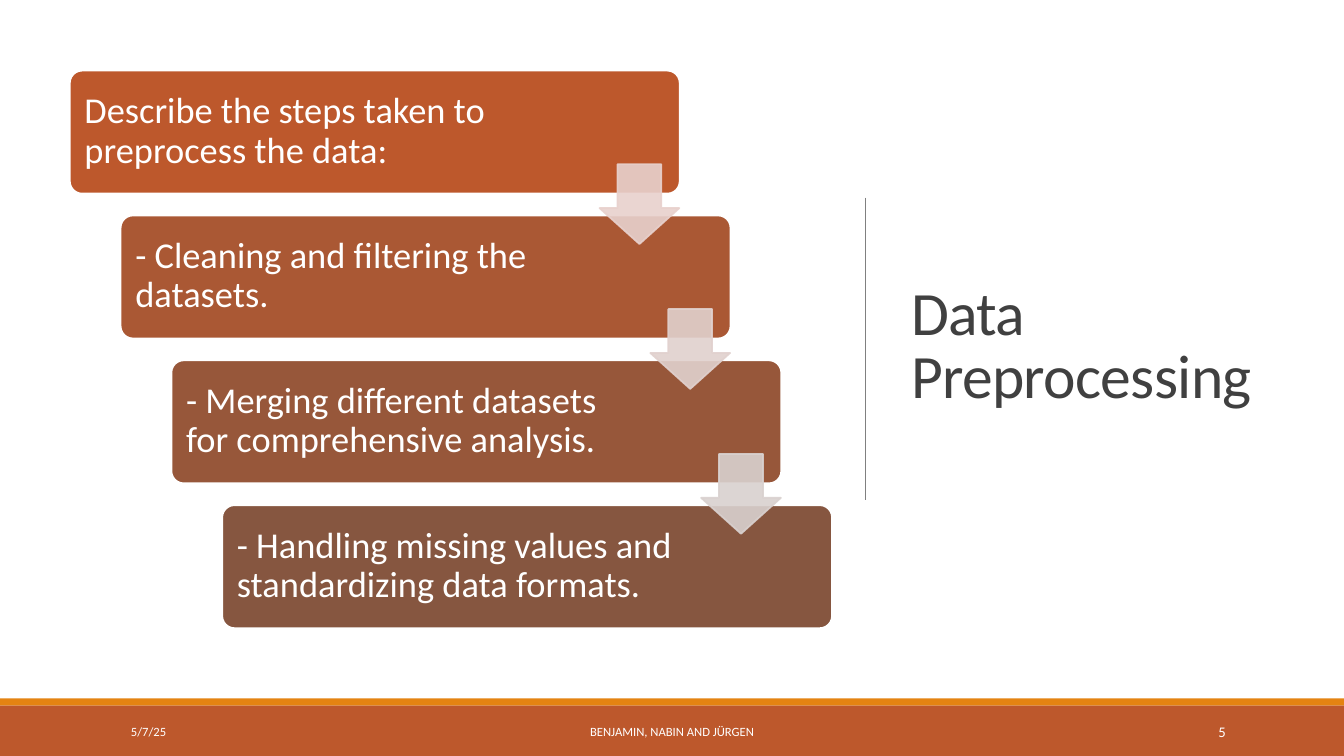
from dataclasses import dataclass

from lxml import etree
from pptx import Presentation
from pptx.dml.color import RGBColor
from pptx.enum import shapes, text
from pptx.oxml.ns import qn
from pptx.util import Cm, Pt


@dataclass(frozen=True)
class Theme:
    font: str = "Calibri"
    white: str = "FFFFFF"
    title_text: str = "404040"
    divider: str = "808080"
    stripe: str = "E48312"
    footer: str = "BD582C"
    title_size: float = 44
    step_size: float = 26
    footer_size: float = 9
    number_size: float = 10.5
    outline: float = 1.25


@dataclass(frozen=True)
class Box:
    left: float
    top: float
    width: float
    height: float

    def moved(self, right: float, down: float) -> "Box":
        return Box(self.left + right, self.top + down, self.width, self.height)

    def lengths(self) -> tuple:
        return Cm(self.left), Cm(self.top), Cm(self.width), Cm(self.height)


@dataclass(frozen=True)
class Step:
    wording: str
    fill: str
    arrow: str | None = None


@dataclass(frozen=True)
class FooterItem:
    wording: str
    box: Box
    size: float
    align: text.PP_ALIGN


THEME = Theme()
SLIDE_WIDTH, SLIDE_HEIGHT = 33.87, 19.05
STEP_RIGHT, STEP_DOWN = 1.28, 3.65
STEP_BOX = Box(1.76, 1.78, 15.37, 3.1)
STEP_TEXT_BOX = Box(1.85, 1.87, 11.85, 2.9)
ARROW_BOX = Box(15.11, 4.14, 2.01, 2.01)

STEPS = [
    Step("Describe the steps taken to preprocess the data:", "BD582C", "E8D1CD"),
    Step("- Cleaning and filtering the datasets.", "AA5834", "E1D1CE"),
    Step("- Merging different datasets for comprehensive analysis.", "97573A", "D9D1CF"),
    Step("- Handling missing values and standardizing data formats.", "865640"),
]
BARS = [
    (Box(0, 17.6, SLIDE_WIDTH, 0.18), THEME.stripe),
    (Box(0, 17.78, SLIDE_WIDTH, 1.27), THEME.footer),
]
FOOTER_ITEMS = [
    FooterItem("5/7/25", Box(3.05, 17.93, 6.86, 1.02), THEME.footer_size, text.PP_ALIGN.LEFT),
    FooterItem("BENJAMIN, NABIN AND JÜRGEN", Box(10.24, 17.93, 13.39, 1.02),
               THEME.footer_size, text.PP_ALIGN.CENTER),
    FooterItem("5", Box(27.51, 17.93, 3.63, 1.02), THEME.number_size, text.PP_ALIGN.RIGHT),
]


def assign(target, values: dict) -> None:
    for name, value in values.items():
        setattr(target, name, value)


def write(frame, wording: str, size: float, color: str, align=text.PP_ALIGN.LEFT,
          spacing: float = 1.0, inset: float | None = None):
    """Fill a text frame with one formatted paragraph and return its run."""
    assign(frame, {"word_wrap": True, "auto_size": text.MSO_AUTO_SIZE.NONE,
                   "vertical_anchor": text.MSO_ANCHOR.MIDDLE})
    if inset is not None:
        sides = ("margin_left", "margin_top", "margin_right", "margin_bottom")
        assign(frame, dict.fromkeys(sides, Cm(inset)))
    para = frame.paragraphs[0]
    assign(para, {"alignment": align, "line_spacing": spacing})
    span = para.add_run()
    span.text = wording
    assign(span.font, {"name": THEME.font, "size": Pt(size)})
    span.font.color.rgb = RGBColor.from_string(color)
    return span


def add_filled(page, kind, box: Box, fill: str, line: str | None = None,
               adjustments: tuple = ()):
    shape = page.shapes.add_shape(kind, *box.lengths())
    shape.shadow.inherit = False
    shape.fill.solid()
    shape.fill.fore_color.rgb = RGBColor.from_string(fill)
    if line:
        shape.line.color.rgb = RGBColor.from_string(line)
        shape.line.width = Pt(THEME.outline)
    else:
        shape.line.fill.background()
    for index, value in enumerate(adjustments):
        shape.adjustments[index] = value
    return shape


def make_translucent(shape, percent: int) -> None:
    for color in shape._element.spPr.iter(qn("a:srgbClr")):
        etree.SubElement(color, qn("a:alpha"), val=str(percent * 1000))


def add_title(page) -> None:
    title = page.shapes.title
    left, top, width, height = Box(22.71, 1.75, 9.37, 14.05).lengths()
    assign(title, {"left": left, "top": top, "width": width, "height": height})
    span = write(title.text_frame, "Data Preprocessing", THEME.title_size,
                 THEME.title_text, spacing=0.85)
    span._r.get_or_add_rPr().set("spc", "-50")


def add_divider(page) -> None:
    line = page.shapes.add_connector(shapes.MSO_CONNECTOR.STRAIGHT,
                                     Cm(21.82), Cm(4.98), Cm(21.82), Cm(12.6))
    line.line.color.rgb = RGBColor.from_string(THEME.divider)
    line.line.width = Pt(0.5)
    etree.SubElement(line._element.spPr, qn("a:effectLst"))


def add_steps(page) -> None:
    for index, step in enumerate(STEPS):
        shift = index * STEP_RIGHT, index * STEP_DOWN
        add_filled(page, shapes.MSO_SHAPE.ROUNDED_RECTANGLE, STEP_BOX.moved(*shift),
                   step.fill, THEME.white, (0.1,))
        label = page.shapes.add_textbox(*STEP_TEXT_BOX.moved(*shift).lengths())
        write(label.text_frame, step.wording, THEME.step_size, THEME.white,
              spacing=0.9, inset=0.28)
    for index, step in enumerate(STEPS):
        if step.arrow:
            box = ARROW_BOX.moved(index * STEP_RIGHT, index * STEP_DOWN)
            arrow = add_filled(page, shapes.MSO_SHAPE.DOWN_ARROW, box,
                               step.arrow, step.arrow, (0.55, 0.45))
            make_translucent(arrow, 90)


def add_footer(page) -> None:
    for item in FOOTER_ITEMS:
        label = page.shapes.add_textbox(*item.box.lengths())
        write(label.text_frame, item.wording, item.size, THEME.white, item.align)


def main() -> None:
    deck = Presentation()
    assign(deck, {"slide_width": Cm(SLIDE_WIDTH), "slide_height": Cm(SLIDE_HEIGHT)})
    page = deck.slides.add_slide(deck.slide_layouts.get_by_name("Title Only"))
    add_title(page)
    add_divider(page)
    for box, color in BARS:
        add_filled(page, shapes.MSO_SHAPE.RECTANGLE, box, color)
    add_steps(page)
    add_footer(page)
    deck.save("out.pptx")


if __name__ == "__main__":
    main()
